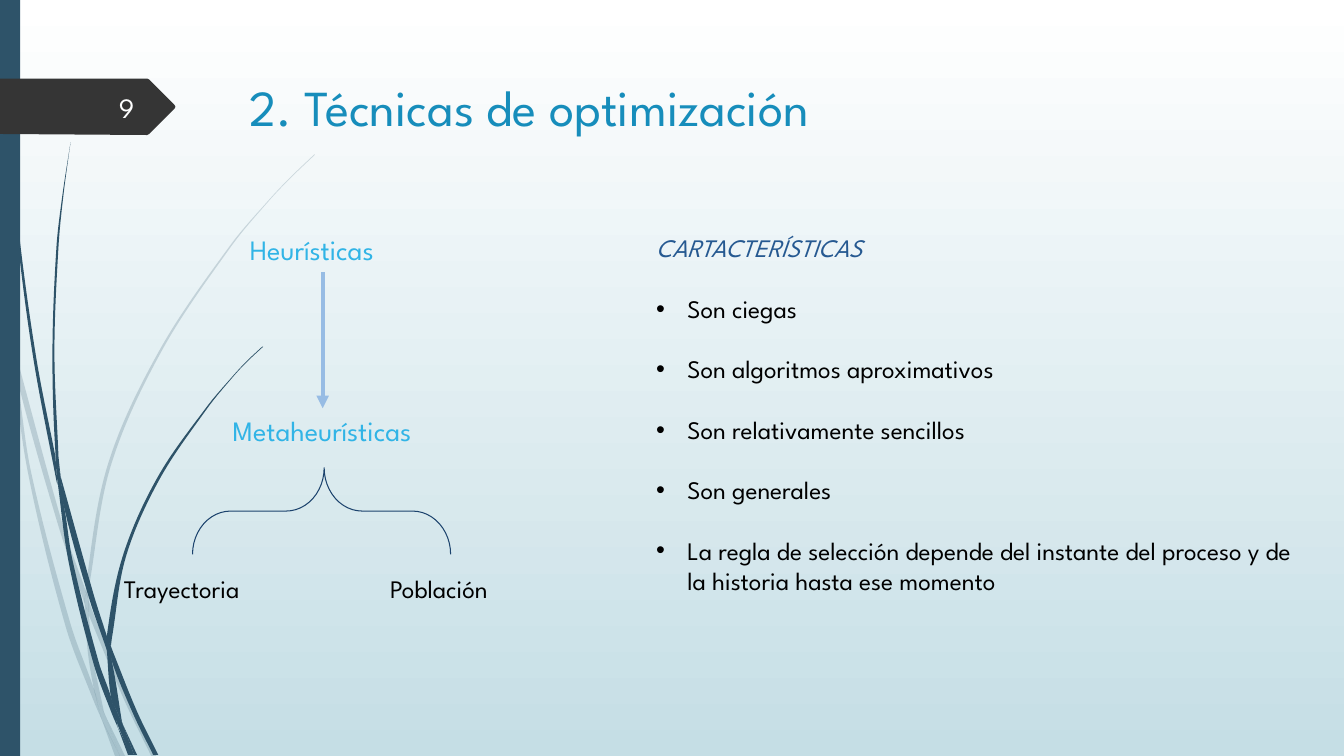
"""Build the slide on optimisation techniques."""
import dataclasses
import math

import lxml.etree
import pptx
import pptx.dml.color
import pptx.enum.shapes
import pptx.enum.text
import pptx.oxml.ns
import pptx.util

SCALE = 9144
WIDE, HIGH = 1333, 750
SHAPE = pptx.enum.shapes.MSO_SHAPE
ALIGN = pptx.enum.text.PP_ALIGN


@dataclasses.dataclass(frozen=True)
class Theme:
    font: str = "League Spartan"
    sky: str = "FFFFFF"
    mist: str = "C5DEE5"
    stem: str = "2E5369"
    flag: str = "353535"
    page: str = "FEFFFF"
    title: str = "178DBB"
    term: str = "31B4E6"
    head: str = "265991"
    text: str = "000000"
    arrow: str = "97BCE4"
    brace: str = "1C436D"
    big: int = 36
    mid: int = 20
    small: int = 18
    gap: float = 21.6


THEME = Theme()

PALE = [
    ([(11, 350), (9, 322), (0, 282)], [(0, 299), (10, 344), (11, 350)]),
    ([(14, 345), (17, 376), (58, 522), (84, 599)],
     [(85, 586), (62, 520), (14, 345)]),
    ([(155, 750), (127, 692), (92, 607), (88, 596)],
     [(88, 610), (123, 694), (150, 750)]),
    ([(105, 711), (119, 750)], [(124, 750), (105, 711)]),
    ([(11, 350), (28, 470), (65, 621), (92, 693), (101, 714)],
     [(99, 707), (93, 683), (70, 619), (31, 469), (17, 376), (11, 350)]),
    ([(84, 599), (87, 646), (93, 683), (96, 692), (105, 711)],
     [(103, 706), (91, 646), (88, 610), (84, 599)]),
    ([(312, 153), (289, 175), (268, 197), (228, 244), (158, 348),
      (107, 461), (85, 584), (88, 596)],
     [(88, 584), (110, 462), (160, 349), (229, 245), (268, 198),
      (290, 175), (312, 154)]),
    ([(101, 714), (114, 750)], [(119, 750), (101, 714)]),
    ([(85, 586), (84, 599), (88, 608)], [(88, 610), (88, 596), (85, 586)]),
    ([(93, 683), (99, 707), (101, 714), (119, 750)],
     [(105, 711), (96, 692), (93, 683)]),
]
DARK = [
    ([(3, 0), (4, 48), (7, 110), (17, 233), (33, 355), (56, 477), (57, 481)],
     [(55, 453), (36, 355), (19, 232), (8, 109), (5, 48), (4, 0)]),
    ([(60, 472), (64, 505), (88, 592), (106, 645)],
     [(106, 631), (93, 590), (60, 472)]),
    ([(110, 641), (111, 656), (132, 708), (152, 749)],
     [(157, 749), (136, 706), (113, 649), (110, 641)]),
    ([(57, 477), (68, 557), (93, 659), (111, 708), (117, 722)],
     [(116, 717), (110, 691), (98, 657), (72, 556), (64, 505), (57, 477)]),
    ([(70, 141), (62, 193), (56, 245), (52, 349), (55, 449), (60, 472)],
     [(58, 453), (54, 349), (58, 245), (63, 193), (70, 141)]),
    ([(122, 719), (133, 749)], [(136, 749), (122, 719)]),
    ([(55, 449), (57, 477), (64, 505)], [(60, 472), (55, 449)]),
    ([(260, 344), (245, 358), (231, 373), (204, 405), (156, 474),
      (122, 551), (106, 631), (110, 641)],
     [(111, 633), (125, 552), (158, 476), (205, 406), (231, 374),
      (245, 359), (261, 344)]),
    ([(117, 722), (127, 749)], [(131, 749), (117, 722)]),
    ([(106, 645), (110, 691), (116, 706), (122, 719)],
     [(121, 716), (111, 656), (106, 645)]),
    ([(106, 631), (106, 645), (111, 656)], [(110, 641), (106, 631)]),
    ([(110, 691), (116, 717), (130, 749)],
     [(133, 749), (122, 719), (116, 706), (110, 691)]),
]
FLAG = [(0, 78), (146, 78), (148, 79), (173, 104), (174, 106), (173, 108),
        (148, 133), (146, 134), (0, 133)]
TRAITS = ["Son ciegas", "Son algoritmos aproximativos",
          "Son relativamente sencillos", "Son generales",
          "La regla de selección depende del instante del proceso y de la "
          "historia hasta ese momento"]


def px(size):
    """Turn px into EMU."""
    return pptx.util.Emu(round(size * SCALE))


def rgb(code):
    """Turn a hex code into a colour."""
    return pptx.dml.color.RGBColor.from_string(code)


def node(base, tag, **attrs):
    """Add a drawing element under a base."""
    return lxml.etree.SubElement(base, pptx.oxml.ns.qn(tag), **attrs)


def bend(edge):
    """Give the handles and ends of a smooth curve along an edge."""
    ends = [edge[0], *edge, edge[-1]]
    spots = []
    for a, b, c, d in zip(ends, ends[1:], ends[2:], ends[3:]):
        third = math.dist(b, c) / 3
        out, back = third / math.dist(a, c), third / math.dist(b, d)
        spots += [tuple(q + out * (r - p) for p, q, r in zip(a, b, c)),
                  tuple(r - back * (s - q) for q, r, s in zip(b, c, d)), c]
    return spots


def paint(shape, code):
    """Give a shape a plain fill with no line or shadow."""
    shape.shadow.inherit = False
    shape.line.fill.background()
    shape.fill.solid()
    shape.fill.fore_color.rgb = rgb(code)


def outline(slide, spots, code):
    """Add a filled outline through the spots."""
    edge = [(px(x), px(y)) for x, y in spots]
    build = slide.shapes.build_freeform(*edge[0])
    build.add_line_segments(edge[1:], close=True)
    shape = build.convert_to_shape()
    paint(shape, code)
    return shape


def stem(slide, sides, clear=False):
    """Draw a piece of stem between two curved sides."""
    left, right = sides
    spots = [left[0], *bend(left), left[-1], right[0], right[0], *bend(right)]
    shape = outline(slide, spots, THEME.stem)
    lines = list(shape._element.iter(pptx.oxml.ns.qn("a:lnTo")))
    for i in range(0, len(lines), 3):
        curve = node(lines[i].getparent(), "a:cubicBezTo")
        lines[i].addprevious(curve)
        for line in lines[i:i + 3]:
            curve.append(line[0])
            line.getparent().remove(line)
    if clear:
        tint = shape.fill._xPr.find(".//" + pptx.oxml.ns.qn("a:srgbClr"))
        node(tint, "a:alpha", val="20000")


def style(para, size, code, slant=False):
    """Format the runs of a paragraph."""
    for run in para.runs:
        font = run.font
        font.name, font.size = THEME.font, pptx.util.Pt(size)
        font.color.rgb, font.italic = rgb(code), slant


def label(slide, box, text, size, code, align=ALIGN.LEFT, slant=False):
    """Add a text box and return its frame."""
    frame = slide.shapes.add_textbox(*map(px, box)).text_frame
    frame.word_wrap = True
    frame.text = text
    frame.paragraphs[0].alignment = align
    style(frame.paragraphs[0], size, code, slant)
    return frame


def bullet(frame, text):
    """Add a bulleted line to a frame."""
    para = frame.add_paragraph()
    para.text = text
    para.space_before = pptx.util.Pt(THEME.gap)
    style(para, THEME.small, THEME.text)
    props = para._p.get_or_add_pPr()
    props.set("marL", str(px(31)))
    props.set("indent", str(px(-31)))
    node(props, "a:buFont", typeface="Arial")
    node(props, "a:buChar", char="•")


def arrow(slide, start, end):
    """Draw an arrow between two points."""
    kind = pptx.enum.shapes.MSO_CONNECTOR.STRAIGHT
    link = slide.shapes.add_connector(kind, *map(px, start + end))
    link.line.color.rgb = rgb(THEME.arrow)
    link.line.width = pptx.util.Pt(3)
    node(link.line._get_or_add_ln(), "a:tailEnd", type="triangle")
    node(link._element.spPr, "a:effectLst")


def brace(slide, box):
    """Draw a brace that opens downward."""
    shape = slide.shapes.add_shape(SHAPE.RIGHT_BRACE, *map(px, box))
    shape.shadow.inherit = False
    shape.rotation = 270
    shape.adjustments[0], shape.adjustments[1] = 0.44, 0.51
    shape.fill.background()
    shape.line.color.rgb = rgb(THEME.brace)
    shape.line.width = pptx.util.Pt(0.75)


def heading(slide, box, text):
    """Place and format the title."""
    title = slide.shapes.title
    title.left, title.top, title.width, title.height = map(px, box)
    frame = title.text_frame
    frame.text = text
    frame.auto_size = pptx.enum.text.MSO_AUTO_SIZE.NONE
    frame.vertical_anchor = pptx.enum.text.MSO_ANCHOR.TOP
    frame.paragraphs[0].alignment = ALIGN.LEFT
    style(frame.paragraphs[0], THEME.big, THEME.title)


def backdrop(slide):
    """Paint the gradient, stems, side bar and flag."""
    fill = slide.background.fill
    fill.gradient()
    fill.gradient_angle = 270
    for place, code in enumerate((THEME.sky, THEME.mist)):
        stop = fill.gradient_stops[place]
        stop.color.rgb, stop.position = rgb(code), place
    for sides in PALE:
        stem(slide, sides, clear=True)
    for sides in DARK:
        stem(slide, sides)
    bar = slide.shapes.add_shape(SHAPE.RECTANGLE, 0, 0, px(20), px(HIGH))
    paint(bar, THEME.stem)
    outline(slide, FLAG, THEME.flag)


def main():
    """Build and save the slide."""
    deck = pptx.Presentation()
    deck.slide_width, deck.slide_height = px(WIDE), px(HIGH)
    slide = deck.slides.add_slide(deck.slide_layouts.get_by_name("Title Only"))
    backdrop(slide)
    heading(slide, (237, 70, 988, 71), "2. Técnicas de optimización")
    page = label(slide, (58, 86, 85, 40), "9", THEME.mid, THEME.page,
                 ALIGN.RIGHT)
    page.vertical_anchor = pptx.enum.text.MSO_ANCHOR.MIDDLE
    label(slide, (238, 226, 163, 44), "Heurísticas", THEME.mid, THEME.term)
    label(slide, (203, 405, 233, 44), "Metaheurísticas", THEME.mid,
          THEME.term, ALIGN.CENTER)
    arrow(slide, (320, 270), (320, 405))
    brace(slide, (276, 379, 86, 256))
    label(slide, (113, 564, 157, 40), "Trayectoria", THEME.small, THEME.text)
    label(slide, (377, 564, 144, 40), "Población", THEME.small, THEME.text)
    traits = label(slide, (641, 226, 657, 374), "CARTACTERÍSTICAS",
                   THEME.small, THEME.head, slant=True)
    for text in TRAITS:
        bullet(traits, text)
    deck.save("out.pptx")


if __name__ == "__main__":
    main()
